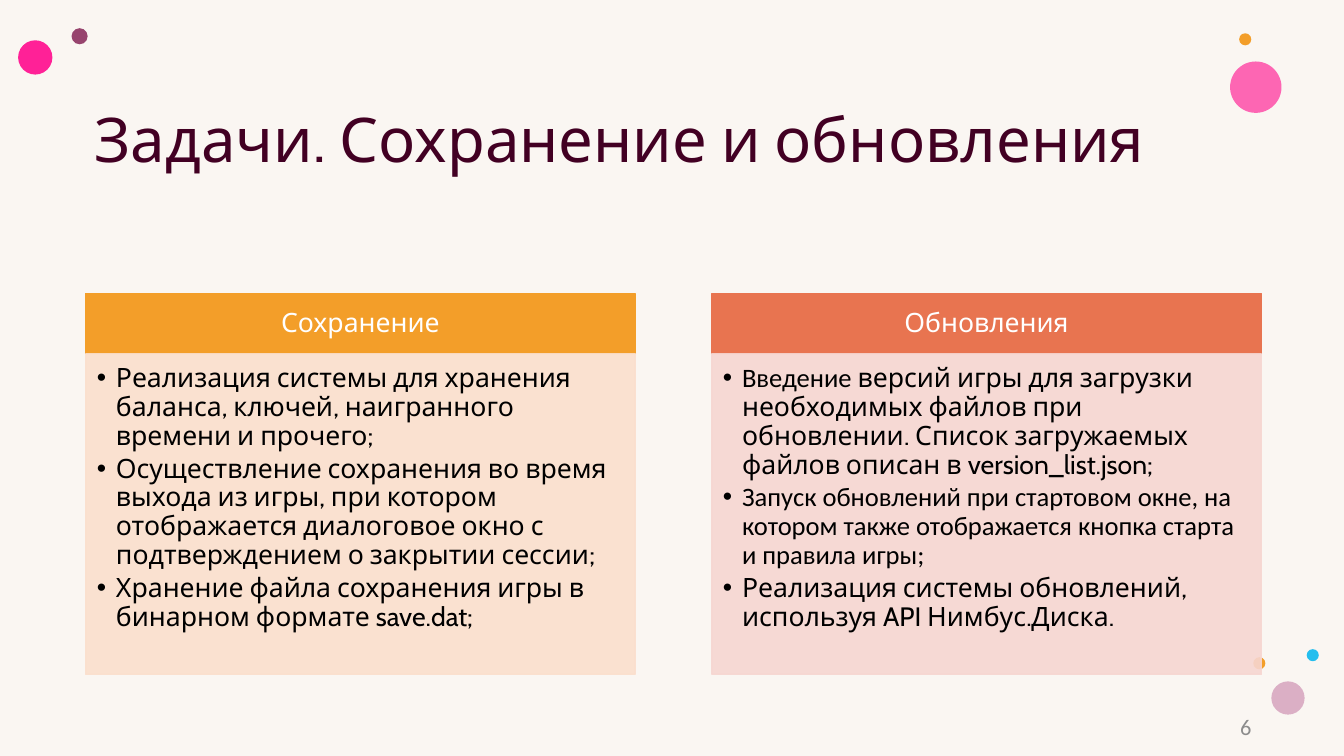
from dataclasses import dataclass

from lxml.etree import SubElement
from pptx import Presentation
from pptx.dml.color import RGBColor
from pptx.enum.shapes import MSO_SHAPE as Preset
from pptx.enum.text import MSO_ANCHOR as Anchor, PP_ALIGN as Align
from pptx.oxml.ns import qn
from pptx.util import Inches, Pt


@dataclass(frozen=True)
class Theme:
    """Colours, fonts and type sizes of the slide."""
    background: str = "FAF6F2"
    title: str = "420023"
    text: str = "000000"
    heading: str = "FFFFFF"
    number: str = "8C8C8C"
    plum: str = "97446E"
    pink: str = "FF2F9C"
    magenta: str = "FF2197"
    orange: str = "F39E29"
    blue: str = "24BEEE"
    mauve: str = "DBAFC5"
    coral: str = "E87450"
    peach: str = "FADFCD"
    rose: str = "F6D6D1"
    main_font: str = "Cabin"
    second_font: str = "Calibri"
    title_size: int = 44
    panel_size: int = 19
    number_size: int = 16


THEME = Theme()
MAIN, SECOND = THEME.main_font, THEME.second_font

DOTS = [
    (0.71, 0.28, 0.16, THEME.plum, 100),
    (12.2, 0.61, 0.51, THEME.pink, 72),
    (12.29, 0.33, 0.12, THEME.orange, 100),
    (0.18, 0.4, 0.34, THEME.magenta, 100),
    (12.96, 6.44, 0.12, THEME.blue, 100),
    (12.61, 6.76, 0.33, THEME.mauve, 100),
    (12.43, 6.52, 0.12, THEME.orange, 100),
]

PANELS = [
    ("Сохранение", THEME.orange, THEME.peach, [
        [("Реализация системы для хранения баланса, ключей, наигранного времени и прочего;", MAIN)],
        [("Осуществление сохранения во время выхода из игры, при котором отображается "
          "диалоговое окно с подтверждением о закрытии сессии;", MAIN)],
        [("Хранение файла сохранения игры в бинарном формате save.dat;", MAIN)],
    ]),
    ("Обновления", THEME.coral, THEME.rose, [
        [("Введение", SECOND),
         (" версий игры для загрузки необходимых файлов при обновлении. "
          "Список загружаемых файлов описан в version_list.json;", MAIN)],
        [("Запуск обновлений при стартовом окне, на котором также отображается "
          "кнопка старта и правила игры;", SECOND)],
        [("Реализация системы обновлений, используя API Нимбус.Диска.", MAIN)],
    ]),
]


def add_filled(slide, preset, box, color, opacity=100, outlined=False):
    """Add a flat preset shape, optionally translucent or outlined in its own colour."""
    shape = slide.shapes.add_shape(preset, *map(Inches, box))
    shape.shadow.inherit = False
    shape.fill.solid()
    shape.fill.fore_color.rgb = RGBColor.from_string(color)
    if outlined:
        shape.line.color.rgb = RGBColor.from_string(color)
        shape.line.width = Pt(1)
    else:
        shape.line.fill.background()
    if opacity < 100:
        for node in shape.element.spPr.iter(qn("a:srgbClr")):
            SubElement(node, qn("a:alpha"), val=str(opacity * 1000))
    return shape


def set_frame(frame, anchor, insets):
    """Set wrapping, anchor and the left, top, right and bottom insets."""
    frame.word_wrap = True
    frame.vertical_anchor = anchor
    frame.margin_left, frame.margin_top, frame.margin_right, frame.margin_bottom = map(Inches, insets)


def write(paragraph, runs, size, color, align=Align.LEFT, spacing=0.9, after=0):
    """Write (text, font) runs into a paragraph."""
    paragraph.alignment = align
    paragraph.line_spacing = spacing
    paragraph.space_after = Pt(after)
    for text, font in runs:
        run = paragraph.add_run()
        run.text = text
        run.font.name = font
        run.font.size = Pt(size)
        run.font.color.rgb = RGBColor.from_string(color)


def add_bullet(paragraph, indent):
    """Give a paragraph a hanging bullet."""
    properties = paragraph._p.get_or_add_pPr()
    properties.set("marL", str(Inches(indent)))
    properties.set("indent", str(-Inches(indent)))
    SubElement(properties, qn("a:buFont"), typeface="Arial")
    SubElement(properties, qn("a:buChar"), char="•")


def add_label(slide, box, text, font, size, color, anchor, align):
    """Add a one-line text box."""
    frame = slide.shapes.add_textbox(*map(Inches, box)).text_frame
    set_frame(frame, anchor, (0.1, 0.05, 0.1, 0.05))
    write(frame.paragraphs[0], [(text, font)], size, color, align)


def add_dots(slide, box):
    """Scatter the decorative dots inside the box."""
    left, top, _, _ = box
    for x, y, diameter, color, opacity in DOTS:
        add_filled(slide, Preset.OVAL, (left + x, top + y, diameter, diameter), color, opacity)


def add_panel(slide, box, heading, head_color, body_color, items):
    """Add a heading bar with a bulleted body below it."""
    left, top, width, height = box
    head_height = 0.6
    head = add_filled(slide, Preset.RECTANGLE, (left, top, width, head_height),
                      head_color, outlined=True).text_frame
    set_frame(head, Anchor.MIDDLE, (0.15, 0.08, 0.15, 0.08))
    write(head.paragraphs[0], [(heading, MAIN)], THEME.panel_size, THEME.heading, Align.CENTER)

    body = add_filled(slide, Preset.RECTANGLE,
                      (left, top + head_height, width, height - head_height),
                      body_color, opacity=90, outlined=True).text_frame
    set_frame(body, Anchor.TOP, (0.11, 0.11, 0.15, 0.17))
    for index, runs in enumerate(items):
        paragraph = body.add_paragraph() if index else body.paragraphs[0]
        write(paragraph, runs, THEME.panel_size, THEME.text, after=3)
        add_bullet(paragraph, 0.19)


def add_panels(slide, box, gap):
    """Lay the panels side by side with equal widths."""
    left, top, width, height = box
    panel_width = (width - gap * (len(PANELS) - 1)) / len(PANELS)
    for index, panel in enumerate(PANELS):
        add_panel(slide, (left + index * (panel_width + gap), top, panel_width, height), *panel)


def build_tasks_slide(presentation):
    """Build the slide on saving and update tasks."""
    slide = presentation.slides.add_slide(presentation.slide_layouts[6])
    slide.background.fill.solid()
    slide.background.fill.fore_color.rgb = RGBColor.from_string(THEME.background)
    add_dots(slide, (0, 0, 13.33, 7.5))
    add_label(slide, (0.84, 1.04, 11.78, 1.97), "Задачи. Сохранение и обновления",
              MAIN, THEME.title_size, THEME.title, Anchor.TOP, Align.LEFT)
    add_panels(slide, (0.85, 2.91, 11.66, 3.78), gap=0.76)
    add_label(slide, (9.51, 7.1, 3, 0.26), "6",
              SECOND, THEME.number_size, THEME.number, Anchor.MIDDLE, Align.RIGHT)


def main():
    """Create and save the presentation."""
    presentation = Presentation()
    presentation.slide_width, presentation.slide_height = Inches(13.33), Inches(7.5)
    build_tasks_slide(presentation)
    presentation.save("out.pptx")


main()
